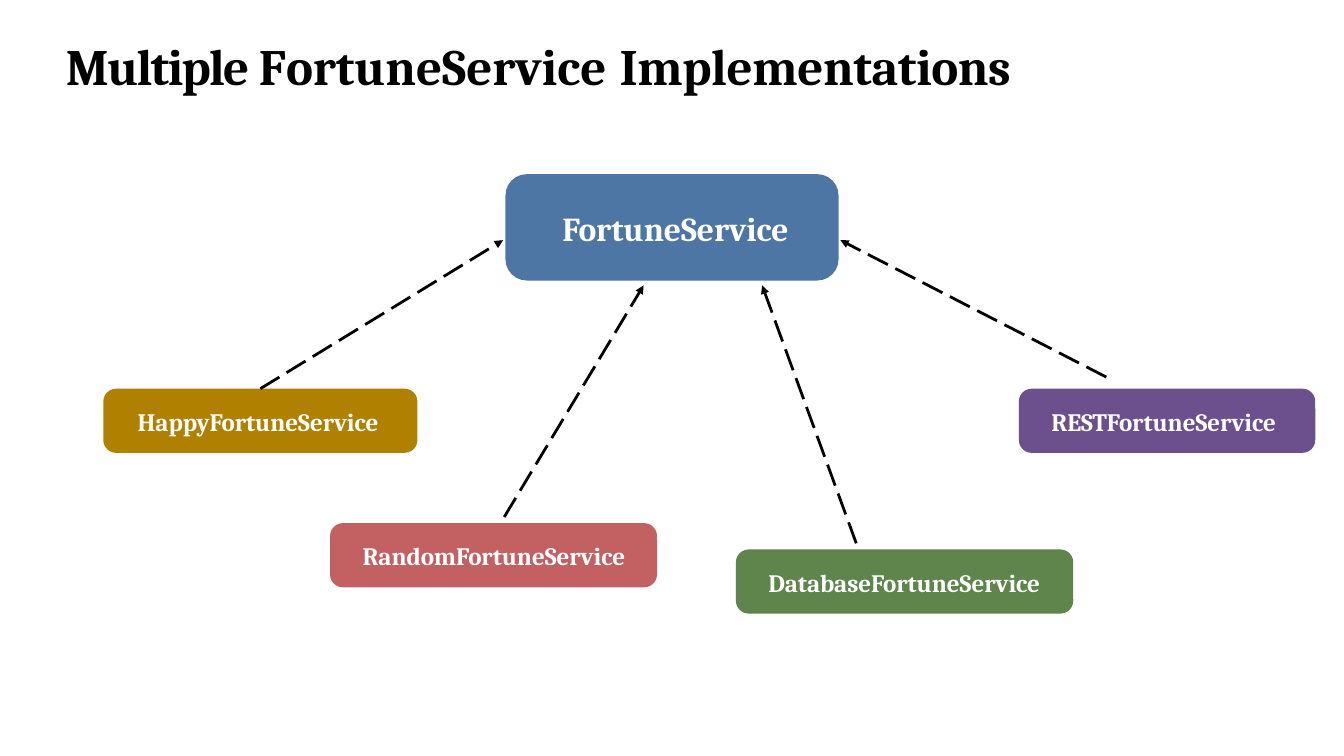
from dataclasses import dataclass

from lxml import etree
from pptx import Presentation
from pptx.dml.color import RGBColor
from pptx.enum.dml import MSO_LINE
from pptx.enum.shapes import MSO_CONNECTOR, MSO_SHAPE
from pptx.enum.text import MSO_ANCHOR, PP_ALIGN
from pptx.oxml.ns import qn
from pptx.util import Inches, Pt

ROUNDED = MSO_SHAPE.ROUNDED_RECTANGLE
STRAIGHT = MSO_CONNECTOR.STRAIGHT
LONG_DASH = MSO_LINE.LONG_DASH
MIDDLE = MSO_ANCHOR.MIDDLE
LEFT = PP_ALIGN.LEFT
TOP_SIDE = 0
FONT = "Cambria"
COLORS = {
    "black": "000000", "white": "FFFFFF", "blue": "4D76A4", "gold": "B08100",
    "red": "C36061", "green": "5F844C", "purple": "6C4F8D",
}


@dataclass
class Service:
    name: str
    color: str
    left: float
    top: float
    width: float
    height: float = 1.05
    inset: float = 0.47
    size: float = 29.5


@dataclass
class Arrow:
    source: str
    start: tuple[float, float]
    end: tuple[float, float]
    joined: bool = False


TITLE = [("Multiple ", -2), ("F", -5.2), ("ortuneServic", -0.1),
         ("e ", 1.2), ("Implementations", -0.5)]
SERVICES = [
    Service("FortuneService", "blue", 8.27, 2.85, 5.45, 1.74, 0.83, 39.5),
    Service("HappyFortuneService", "gold", 1.69, 6.36, 5.14, inset=0.5),
    Service("RandomFortuneService", "red", 5.4, 8.56, 5.35),
    Service("DatabaseFortuneService", "green", 12.04, 8.99, 5.52),
    Service("RESTFortuneService", "purple", 16.67, 6.36, 4.85),
]
ARROWS = [
    Arrow("HappyFortuneService", (4.26, 6.36), (8.23, 3.93), True),
    Arrow("RandomFortuneService", (8.25, 8.46), (10.53, 4.67)),
    Arrow("DatabaseFortuneService", (14.01, 8.89), (12.47, 4.67)),
    Arrow("RESTFortuneService", (18.1, 6.17), (13.75, 3.93)),
]


def rgb(name: str) -> RGBColor:
    return RGBColor.from_string(COLORS[name])


def write(s, runs: list[tuple[str, float]], size: float, color: str,
          inset: float = 0) -> None:
    tf = s.text_frame
    tf.word_wrap = True
    tf.margin_left = Inches(inset)
    tf.margin_top = Inches(0.02)
    tf.margin_right = tf.margin_bottom = 0
    p = tf.paragraphs[0]
    p.alignment = LEFT
    p.font.name, p.font.size, p.font.bold = FONT, Pt(size), True
    p.font.color.rgb = rgb(color)
    for text, spacing in runs:
        r = p.add_run()
        r.text = text
        r._r.get_or_add_rPr().set("spc", str(round(spacing * 100)))


def add_service(slide, service: Service):
    s = slide.shapes.add_shape(
        ROUNDED, Inches(service.left), Inches(service.top),
        Inches(service.width), Inches(service.height))
    s.adjustments[0] = 0.2
    s.shadow.inherit = False
    s.fill.solid()
    s.fill.fore_color.rgb = rgb(service.color)
    s.line.fill.background()
    s.text_frame.vertical_anchor = MIDDLE
    write(s, [(service.name, -0.1)], service.size, "white", service.inset)
    return s


def add_arrow(slide, arrow: Arrow, boxes: dict) -> None:
    s = slide.shapes.add_connector(
        STRAIGHT, *(Inches(v) for v in arrow.start + arrow.end))
    if arrow.joined:
        s.begin_connect(boxes[arrow.source], TOP_SIDE)
    s.line.color.rgb = rgb("black")
    s.line.width = Pt(3.3)
    s.line.dash_style = LONG_DASH
    etree.SubElement(s.line._get_or_add_ln(), qn("a:tailEnd"),
                     type="triangle", w="med", len="med")
    etree.SubElement(s._element.spPr, qn("a:effectLst"))


def main() -> None:
    """Build the FortuneService implementations slide."""
    prs = Presentation()
    prs.slide_width, prs.slide_height = Inches(21.99), Inches(12.37)
    slide = prs.slides.add_slide(prs.slide_layouts[6])
    title = slide.shapes.add_textbox(
        Inches(1.08), Inches(0.55), Inches(16.97), Inches(1.03))
    write(title, TITLE, 60, "black")
    boxes = {service.name: add_service(slide, service) for service in SERVICES}
    for arrow in ARROWS:
        add_arrow(slide, arrow, boxes)
    prs.save("out.pptx")


if __name__ == "__main__":
    main()
